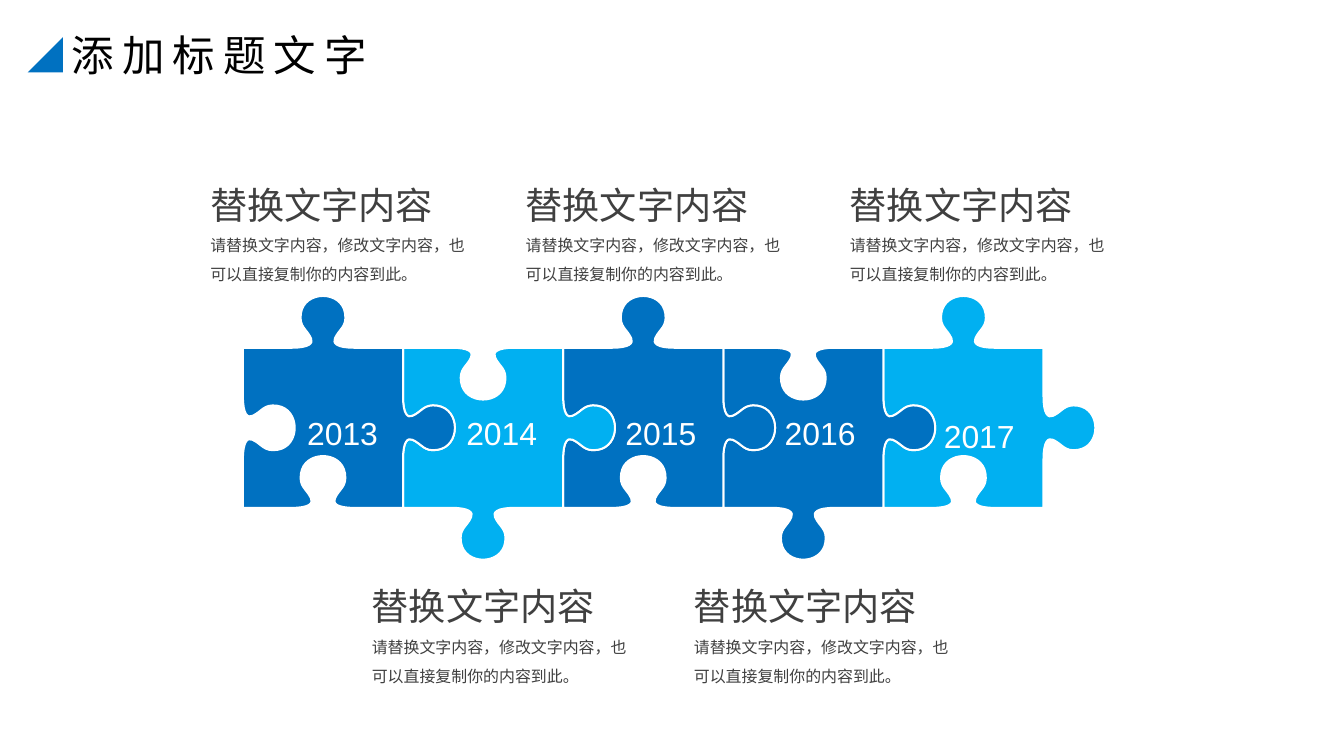
from lxml import etree
from pptx import Presentation
from pptx.dml.color import RGBColor
from pptx.enum.lang import MSO_LANGUAGE_ID as Lang
from pptx.enum.shapes import MSO_SHAPE as Shape
from pptx.enum.text import MSO_ANCHOR as Anchor, PP_ALIGN as Align
from pptx.oxml.ns import qn
from pptx.util import Pt

BLUE = RGBColor(0x00, 0x71, 0xC1)
SKY = RGBColor(0x01, 0xB0, 0xF1)
WHITE = RGBColor(0xFF, 0xFF, 0xFF)
BLACK = RGBColor(0x00, 0x00, 0x00)
GREY = RGBColor(0x40, 0x40, 0x40)
FONT = "Arial"

SIDE = 120.6  # body of one puzzle piece
PIECES = [("2013", BLUE), ("2014", SKY), ("2015", BLUE), ("2016", BLUE), ("2017", SKY)]
CAPTION_LEFTS = [158.4, 280.1, 396, 522.7, 640.1]
CAPTION_TOPS = [120.2, 422.6]  # above the row, below the row
HEADING = "替换文字内容"
BODY = "请替换文字内容，修改文字内容，也可以直接复制你的内容到此。"

# Bezier points of half a knob: offset from the middle of the edge, height
HALF_KNOB = [(-23.6, 0), (-10.2, 0), (-7.2, 3.5), (-9, 7.1),
             (-12.2, 14.4), (-18.2, 15.6), (-16.6, 25.9), (-14, 43.4)]
KNOB = HALF_KNOB + [(-along, height) for along, height in reversed(HALF_KNOB)]


def style_text(para, size, color, line_spacing=None):
    para.line_spacing = line_spacing
    for span in para.runs:
        font = span.font
        font.size, font.name = Pt(size), FONT
        font.color.rgb = color
        font.language_id = Lang.SIMPLIFIED_CHINESE
        etree.SubElement(font._element, qn("a:ea"), typeface=FONT)


def add_text_frame(page, left, top, width, height, wrap, inset=True):
    box = page.shapes.add_textbox(Pt(left), Pt(top), Pt(width), Pt(height))
    frame = box.text_frame
    frame.word_wrap = wrap
    if not inset:
        frame.margin_left = frame.margin_right = 0
        frame.margin_top = frame.margin_bottom = 0
    return frame


def curve_knobs(piece):
    """Turn the segments of each knob into cubic Bezier curves."""
    outline = next(piece._element.iter(qn("a:path")))
    edge_length = len(KNOB) + 1  # the corner and the knob points
    for index, segment in enumerate(outline.findall(qn("a:lnTo"))):
        position = index % edge_length
        if 0 < position < len(KNOB):
            if position % 3 == 1:
                curve = etree.Element(qn("a:cubicBezTo"))
                segment.addprevious(curve)
            curve.append(segment[0])
            outline.remove(segment)


def add_piece(page, left, top, color, knob_up):
    """Clockwise outline; each edge has a knob (1) or a socket (-1)."""
    vertical = 1 if knob_up else -1
    edges = [(0, 0, 1, 0, vertical), (SIDE, 0, 0, 1, 1),
             (SIDE, SIDE, -1, 0, -vertical), (0, SIDE, 0, -1, -1)]
    outline = []
    for x, y, dx, dy, bulge in edges:
        outline.append((left + x, top + y))
        for along, height in KNOB:
            run, out = SIDE / 2 + along, bulge * height
            outline.append((left + x + dx * run + dy * out,
                            top + y + dy * run - dx * out))
    vertices = [(Pt(x), Pt(y)) for x, y in outline]
    builder = page.shapes.build_freeform(*vertices[0])
    builder.add_line_segments(vertices[1:], close=True)
    piece = builder.convert_to_shape()
    curve_knobs(piece)
    piece.shadow.inherit = False
    piece.fill.solid()
    piece.fill.fore_color.rgb = color
    piece.line.color.rgb = WHITE
    piece.line.width = Pt(1.5)


def add_year(page, left, top, year):
    frame = add_text_frame(page, left, top, 54, 31.7, wrap=False, inset=False)
    frame.vertical_anchor = Anchor.BOTTOM
    para = frame.paragraphs[0]
    para.text = year
    para.alignment = Align.CENTER
    style_text(para, 24, WHITE, 1.2)


def add_puzzle_row(page, left, top):
    # Earlier pieces lie over later ones
    for index, (_, color) in reversed(list(enumerate(PIECES))):
        add_piece(page, left + index * SIDE, top, color, knob_up=index % 2 == 0)
    # Years, the last one slightly lower
    for index, (year, _) in enumerate(PIECES):
        drop = 2.2 if index == len(PIECES) - 1 else 0
        add_year(page, left + 48 + index * 119.9, top + 46.9 + drop, year)


def add_caption(page, left, top):
    frame = add_text_frame(page, left, top, 200, 94.3, wrap=True, inset=False)
    frame.text = f"{HEADING}\n{BODY}"
    for para, size in zip(frame.paragraphs, (28, 12)):
        style_text(para, size, GREY, 1.5)


def add_title(page, left, top):
    frame = add_text_frame(page, left + 26, top - 10, 245, 46, wrap=False)
    para = frame.paragraphs[0]
    para.text = "添加标题文字"
    style_text(para, 32, BLACK)
    para.runs[0].font._element.set("spc", "600")
    # Corner mark beside the title
    mark = page.shapes.add_shape(Shape.RIGHT_TRIANGLE, Pt(left), Pt(top), Pt(26.5), Pt(26.5))
    mark.rotation = 270
    mark.shadow.inherit = False
    mark.fill.solid()
    mark.fill.fore_color.rgb = BLUE
    mark.line.fill.background()


def main():
    deck = Presentation()
    deck.slide_width, deck.slide_height = Pt(1012.3), Pt(569.5)
    page = deck.slides.add_slide(deck.slide_layouts[6])
    add_puzzle_row(page, 183, 262)
    for index, left in enumerate(CAPTION_LEFTS):
        add_caption(page, left, CAPTION_TOPS[index % 2])
    add_title(page, 20.9, 28)
    deck.save("out.pptx")


if __name__ == "__main__":
    main()
